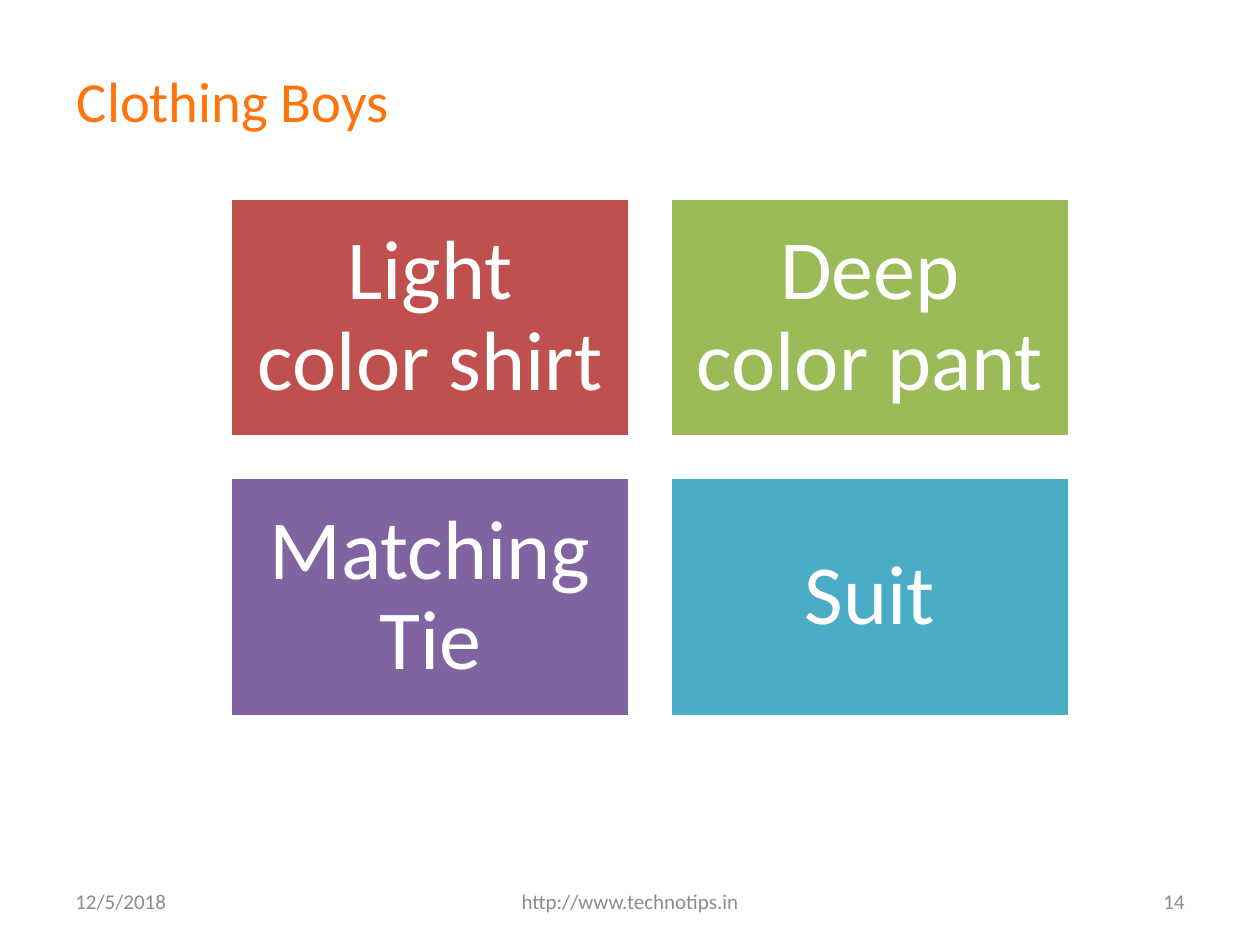
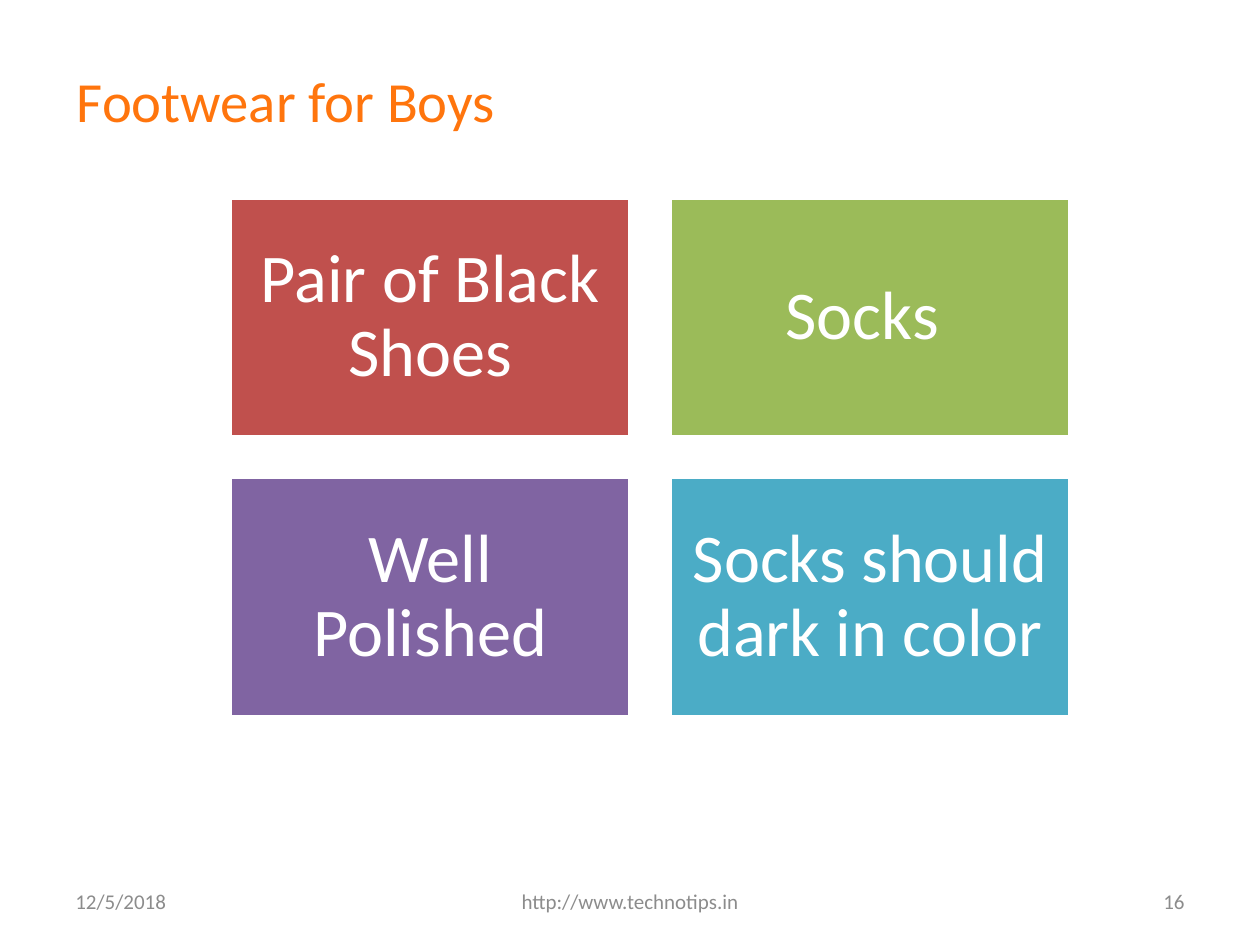
from collections import namedtuple

from pptx import Presentation
from pptx import util as u
from pptx.dml.color import RGBColor
from pptx.enum import shapes, text

Box = namedtuple("Box", "left top width height")

FONT = "Calibri"
ORANGE = RGBColor(0xFF, 0x75, 0x0D)
GREY = RGBColor(0x8C, 0x8C, 0x8C)
WHITE = RGBColor(0xFF, 0xFF, 0xFF)
RED = RGBColor(0xC0, 0x50, 0x4D)
GREEN = RGBColor(0x9B, 0xBB, 0x59)
PURPLE = RGBColor(0x80, 0x64, 0xA2)
BLUE = RGBColor(0x4B, 0xAC, 0xC6)
TILE_COLOURS = (RED, GREEN, PURPLE, BLUE)

LEFT, CENTER, RIGHT = text.PP_ALIGN.LEFT, text.PP_ALIGN.CENTER, text.PP_ALIGN.RIGHT

SLIDE_WIDTH, SLIDE_HEIGHT = 10, 7.5
TITLE_BOX = Box(0.51, 0.5, 9, 0.58)
TILES_BOX = Box(1.83, 1.57, 6.66, 4.12)
FOOTER_BOX = Box(0.5, 6.95, 9, 0.4)
COLUMNS, ROWS = 2, 2
TILE_GAP = 0.32

TOPICS = [
    ("Clothing Boys", "14", 48, 0.2,
     ("Light color shirt ", "Deep color pant", "Matching Tie", "Suit")),
    ("Footwear for Boys", "16", 39, 0.16,
     ("Pair of Black Shoes", "Socks ", "Well Polished", "Socks should dark in color")),
]


def inches(box):
    return [u.Inches(length) for length in box]


def write(shape, words, size, colour, align):
    frame = shape.text_frame
    frame.word_wrap = True
    frame.auto_size = text.MSO_AUTO_SIZE.NONE
    frame.vertical_anchor = text.MSO_ANCHOR.MIDDLE
    para = frame.paragraphs[0]
    para.alignment = align
    span = para.add_run()
    span.text = words
    span.font.name = FONT
    span.font.size = u.Pt(size)
    span.font.color.rgb = colour
    return para


def place_title(page, box, words):
    title = page.shapes.title
    title.left, title.top, title.width, title.height = inches(box)
    write(title, words, 32.4, ORANGE, LEFT)


def place_footer(page, box, number):
    parts = (
        ("12/5/2018", 0, 0.26, LEFT),
        ("http://www.technotips.in", 0.324, 0.352, CENTER),
        (number, 0.74, 0.26, RIGHT),
    )
    for words, start, share, align in parts:
        part = Box(box.left + start * box.width, box.top, share * box.width, box.height)
        write(page.shapes.add_textbox(*inches(part)), words, 12, GREY, align)


def place_tiles(page, box, labels, size, inset):
    width = (box.width - TILE_GAP * (COLUMNS - 1)) / COLUMNS
    height = (box.height - TILE_GAP * (ROWS - 1)) / ROWS
    for index, (label, colour) in enumerate(zip(labels, TILE_COLOURS)):
        row, column = divmod(index, COLUMNS)
        cell = Box(box.left + column * (width + TILE_GAP),
                   box.top + row * (height + TILE_GAP), width, height)
        tile = page.shapes.add_shape(shapes.MSO_SHAPE.RECTANGLE, *inches(cell))
        tile.shadow.inherit = False
        tile.fill.solid()
        tile.fill.fore_color.rgb = colour
        tile.line.color.rgb = WHITE
        tile.line.width = u.Pt(2)
        frame = tile.text_frame
        frame.margin_left = frame.margin_right = u.Inches(inset)
        frame.margin_top = frame.margin_bottom = u.Inches(inset)
        write(tile, label, size, WHITE, CENTER).line_spacing = 0.9


def add_topic(deck, heading, number, size, inset, labels):
    page = deck.slides.add_slide(deck.slide_layouts.get_by_name("Title Only"))
    place_title(page, TITLE_BOX, heading)
    place_footer(page, FOOTER_BOX, number)
    place_tiles(page, TILES_BOX, labels, size, inset)


def main():
    deck = Presentation()
    deck.slide_width = u.Inches(SLIDE_WIDTH)
    deck.slide_height = u.Inches(SLIDE_HEIGHT)
    for topic in TOPICS:
        add_topic(deck, *topic)
    deck.save("out.pptx")


if __name__ == "__main__":
    main()
